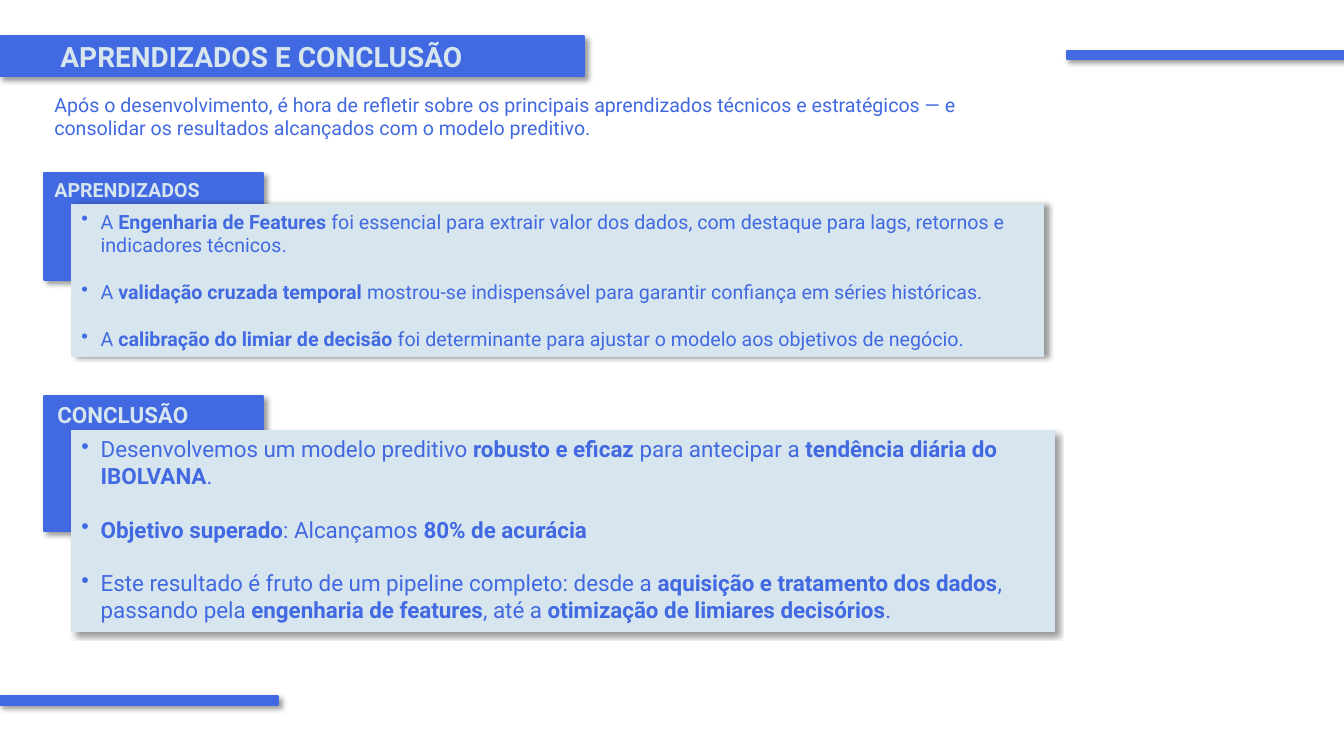
from dataclasses import dataclass

import lxml.etree
import pptx
import pptx.dml.color
import pptx.enum.shapes
import pptx.enum.text
import pptx.oxml
import pptx.oxml.ns
import pptx.util
from pptx.util import Inches, Pt


@dataclass(frozen=True)
class Theme:
    blue: str = "4169E1"
    pale: str = "D7E5EE"
    shadow: str = "000000"
    font: str = "Roboto"
    title: int = 20
    large: int = 16
    body: int = 14
    line_height: float = 1.19


THEME = Theme()
TOP = pptx.enum.text.MSO_ANCHOR.TOP
MIDDLE = pptx.enum.text.MSO_ANCHOR.MIDDLE

LEARNINGS = [
    "A **Engenharia de Features** foi essencial para extrair valor dos dados, "
    "com destaque para lags, retornos e indicadores técnicos.",
    "A **validação cruzada temporal** mostrou-se indispensável para garantir "
    "confiança em séries históricas.",
    "A **calibração do limiar de decisão** foi determinante para ajustar o modelo "
    "aos objetivos de negócio.",
]
CONCLUSIONS = [
    "Desenvolvemos um modelo preditivo **robusto e eficaz** para antecipar a "
    "**tendência diária do IBOLVANA**.",
    "**Objetivo superado**: Alcançamos **80% de acurácia**",
    "Este resultado é fruto de um pipeline completo: desde a **aquisição e tratamento "
    "dos dados**, passando pela **engenharia de features**, até a **otimização de "
    "limiares decisórios**.",
]


def rgb(color):
    return pptx.dml.color.RGBColor.from_string(color)


def add_shadow(shape, angle):
    """Soft outer shadow; the angle is in degrees."""
    shape.shadow.inherit = False
    effects = shape._element.spPr.find(pptx.oxml.ns.qn("a:effectLst"))
    effects.append(pptx.oxml.parse_xml(
        f'<a:outerShdw {pptx.oxml.ns.nsdecls("a")} blurRad="{Pt(4)}" dist="{Pt(3)}" '
        f'dir="{angle * 60000}" algn="tl" rotWithShape="0">'
        f'<a:srgbClr val="{THEME.shadow}"><a:alpha val="40000"/></a:srgbClr>'
        "</a:outerShdw>"))


def add_block(slide, left, top, width, height, color, line_width=1.5, angle=45):
    shape = slide.shapes.add_shape(
        pptx.enum.shapes.MSO_SHAPE.RECTANGLE,
        Inches(left), Inches(top), Inches(width), Inches(height))
    shape.fill.solid()
    shape.fill.fore_color.rgb = rgb(color)
    shape.line.color.rgb = rgb(color)
    shape.line.width = Pt(line_width)
    add_shadow(shape, angle)
    return shape


def set_indent(paragraph, left, first=0, bullet=None):
    properties = paragraph._p.get_or_add_pPr()
    properties.set("marL", str(Inches(left)))
    properties.set("indent", str(Inches(first)))
    if bullet:
        mark = lxml.etree.SubElement(properties, pptx.oxml.ns.qn("a:buChar"))
        mark.set("char", bullet)


def style_paragraph(paragraph, size, color, bold=None):
    paragraph.alignment = pptx.enum.text.PP_ALIGN.LEFT
    font = paragraph.font
    font.name, font.size, font.bold = THEME.font, Pt(size), bold
    font.color.rgb = rgb(color)


def add_text(slide, left, top, width, height, text, size, color, bold=False, wrap=True):
    box = slide.shapes.add_textbox(Inches(left), Inches(top), Inches(width), Inches(height))
    frame = box.text_frame
    frame.word_wrap = wrap
    frame.auto_size = pptx.enum.text.MSO_AUTO_SIZE.SHAPE_TO_FIT_TEXT
    paragraph = frame.paragraphs[0]
    paragraph.text = text
    style_paragraph(paragraph, size, color, bold)


def fill_bullets(shape, items, size):
    """One bullet per item, a line apart; **marks** enclose bold words."""
    frame = shape.text_frame
    frame.word_wrap = True
    frame.vertical_anchor = TOP
    frame.auto_size = pptx.enum.text.MSO_AUTO_SIZE.SHAPE_TO_FIT_TEXT
    for index, item in enumerate(items):
        paragraph = frame.add_paragraph() if index else frame.paragraphs[0]
        set_indent(paragraph, 0.19, -0.19, "•")
        if index:
            paragraph.space_before = Pt(size * THEME.line_height)
        style_paragraph(paragraph, size, THEME.blue)
        for position, words in enumerate(item.split("**")):
            if words:
                run = paragraph.add_run()
                run.text = words
                run.font.bold = position % 2 == 1


def add_title(slide, text):
    banner = add_block(slide, 0, 0.36, 5.79, 0.39, THEME.blue)
    banner.text_frame.vertical_anchor = MIDDLE
    paragraph = banner.text_frame.paragraphs[0]
    paragraph.text = text
    set_indent(paragraph, 0.5)
    style_paragraph(paragraph, THEME.title, THEME.pale, True)


def add_section(slide, heading, items, size, top, tab_height, card, label, angle=45):
    """Blue tab behind a pale card; card is (top, width, height), label (left, width, height)."""
    add_block(slide, 0.44, top, 2.17, tab_height, THEME.blue)
    panel = add_block(slide, 0.71, *card, THEME.pale, 0.75, angle)
    fill_bullets(panel, items, size)
    left, width, height = label
    add_text(slide, left, top, width, height, heading, size, THEME.pale, True, False)


def main():
    presentation = pptx.Presentation()
    presentation.slide_width, presentation.slide_height = Inches(13.33), Inches(7.5)
    slide = presentation.slides.add_slide(presentation.slide_layouts[6])

    # Accent bars at the edges
    for left, top in ((10.58, 0.51), (0, 6.91)):
        add_block(slide, left, top, 2.76, 0.08, THEME.blue)

    # Title and introduction
    add_title(slide, "APRENDIZADOS E CONCLUSÃO")
    add_text(slide, 0.44, 0.87, 9.89, 0.57,
             "Após o desenvolvimento, é hora de refletir sobre os principais aprendizados "
             "técnicos e estratégicos — e consolidar os resultados alcançados com o "
             "modelo preditivo.", THEME.body, THEME.blue)

    # Sections
    add_section(slide, "APRENDIZADOS", LEARNINGS, THEME.body, 1.72, 1.06,
                (2.03, 9.64, 1.51), (0.44, 1.72, 0.34), angle=0)
    add_section(slide, "CONCLUSÃO", CONCLUSIONS, THEME.large, 3.93, 1.34,
                (4.27, 9.75, 1.99), (0.47, 1.55, 0.37))

    presentation.save("out.pptx")


if __name__ == "__main__":
    main()
